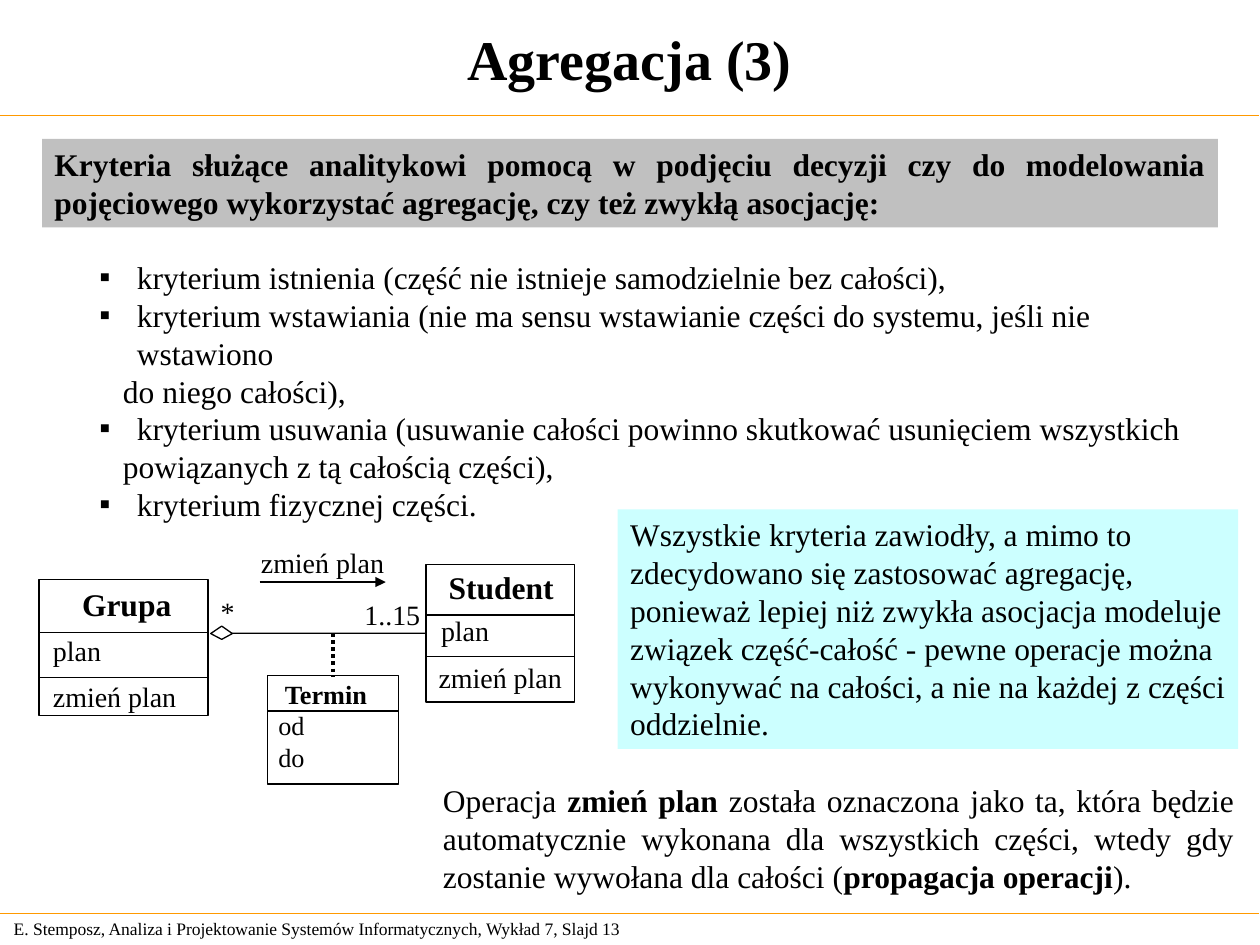
from dataclasses import dataclass

from lxml import etree
from pptx import Presentation
from pptx.dml.color import RGBColor
from pptx.enum import dml, shapes, text
from pptx.oxml import ns
from pptx.util import Pt


@dataclass(frozen=True)
class Theme:
    font: str = "Times New Roman"
    ink: str = "000000"
    paper: str = "FFFFFF"
    rule: str = "FF9900"
    grey: str = "C0C0C0"
    cyan: str = "CCFFFF"
    title: int = 32
    body: int = 18
    label: int = 16
    small: int = 15
    footer: int = 10
    hairline: float = 0
    stroke: float = 0.75


THEME = Theme()
LEFT, CENTER, JUSTIFY = (text.PP_ALIGN.LEFT, text.PP_ALIGN.CENTER, text.PP_ALIGN.JUSTIFY)
TOP, MIDDLE = text.MSO_ANCHOR.TOP, text.MSO_ANCHOR.MIDDLE
PADDING = (7.2, 3.6)


def color(value):
    return RGBColor.from_string(value)


def write(shape, paras, size, bold=False, align=LEFT, anchor=TOP, wrap=True, padding=PADDING):
    """Fill a shape with paragraphs, each a list of (words, bold) runs or a plain string."""
    frame = shape.text_frame
    frame.word_wrap = wrap
    frame.vertical_anchor = anchor
    frame.margin_left = frame.margin_right = Pt(padding[0])
    frame.margin_top = frame.margin_bottom = Pt(padding[1])
    for index, runs in enumerate(paras):
        para = frame.add_paragraph() if index else frame.paragraphs[0]
        para.alignment = align
        for words, strong in [(runs, bold)] if isinstance(runs, str) else runs:
            span = para.add_run()
            span.text = words
            span.font.name = THEME.font
            span.font.size = Pt(size)
            span.font.bold = strong
            span.font.color.rgb = color(THEME.ink)


def text_box(page, box, paras, size, **style):
    shape = page.shapes.add_textbox(*map(Pt, box))
    write(shape, paras, size, **style)
    return shape


def finish(shape, fill, outline=None):
    shape.shadow.inherit = False
    shape.fill.solid()
    shape.fill.fore_color.rgb = color(fill)
    if outline:
        shape.line.color.rgb = color(outline)
        shape.line.width = Pt(THEME.hairline)
    else:
        shape.line.fill.background()
    return shape


def rectangle(page, box, fill, outline=None):
    shape = page.shapes.add_shape(shapes.MSO_SHAPE.RECTANGLE, *map(Pt, box))
    return finish(shape, fill, outline)


def line(page, start, end, stroke=THEME.ink, width=THEME.stroke):
    link = page.shapes.add_connector(shapes.MSO_CONNECTOR.STRAIGHT, *map(Pt, start + end))
    link.line.color.rgb = color(stroke)
    link.line.width = Pt(width)
    etree.SubElement(link.line._get_or_add_ln().getparent(), ns.qn("a:effectLst"))
    return link


def add_frame(page, box):
    """Title and footer, each set off by an orange rule."""
    left, top, width, height = box
    header, footer_top = 66, 522
    for y in (header, footer_top):
        line(page, (left, top + y), (left + width, top + y), THEME.rule)
    text_box(page, (left, top, width, header), ["Agregacja (3)"], THEME.title,
             bold=True, align=CENTER, anchor=MIDDLE)
    text_box(page, (left + 0.8, top + footer_top, 377, height - footer_top - 0.5),
             ["E. Stemposz, Analiza i Projektowanie Systemów Informatycznych, Wykład 7, Slajd 13"],
             THEME.footer, anchor=MIDDLE, wrap=False)


def add_panel(page, box, fill, paras, **style):
    write(rectangle(page, box, fill), paras, THEME.body, **style)


def add_criteria(page, box, items):
    """Bulleted criteria; a second line in an item continues it without a bullet."""
    rows = [(words, index == 0) for item in items for index, words in enumerate(item)]
    shape = text_box(page, box, [words for words, _ in rows], THEME.body)
    for para, (_, bulleted) in zip(shape.text_frame.paragraphs, rows):
        margin = 21.5 if bulleted else 13.5
        props = para._p.get_or_add_pPr()
        props.set("marL", str(Pt(margin)))
        props.set("indent", str(-Pt(margin) if bulleted else 0))
        if bulleted:
            etree.SubElement(props, ns.qn("a:buFont"), typeface=THEME.font)
            etree.SubElement(props, ns.qn("a:buChar"), char="▪")
        else:
            etree.SubElement(props, ns.qn("a:buNone"))


def add_class(page, box, name, name_box, size, sections, row_size):
    """UML class; sections are (divider offset, text offset x, text offset y, lines)."""
    left, top, width, _ = box
    outline = rectangle(page, box, THEME.paper, THEME.ink)
    dx, dy, name_width = name_box
    text_box(page, (left + dx, top + dy, name_width, size * 1.2), [name], size,
             bold=True, wrap=False, padding=(0, 0))
    for divider, dx, dy, lines in sections:
        line(page, (left, top + divider), (left + width, top + divider))
        text_box(page, (left + dx, top + dy, width - dx, len(lines) * row_size * 1.2),
                 lines, row_size, padding=(0, 0))
    return outline


def add_diagram(page, box):
    """Aggregation of Student in Grupa, with the association class Termin."""
    left, top, _, _ = box

    def at(x, y, *size):
        return (left + x, top + y) + size

    add_class(page, at(0, 8.7, 96.5, 77.7), "Grupa", (24.5, 2.8, 51), THEME.body,
              [(30, 7.9, 31, ["plan"]), (56, 7.9, 57, ["zmień plan"])], THEME.label)
    student = add_class(page, at(221, 0, 85, 78.5), "Student", (13, 2, 60), THEME.body,
                        [(28.8, 8.6, 28.2, ["plan"]), (52.5, 7.2, 54.7, ["zmień plan"])],
                        THEME.label)
    term = add_class(page, at(130.4, 63.5, 75, 62), "Termin", (10, 1.5, 48), THEME.small,
                     [(20.2, 6.3, 19.3, ["od", "do"])], THEME.small)

    middle = 39.3
    association = line(page, at(110, middle), at(221, middle))
    association.end_connect(student, 1)
    dashed = line(page, at(167.9, middle), at(167.9, 63.5), width=THEME.hairline)
    dashed.end_connect(term, 0)
    dashed.line.dash_style = dml.MSO_LINE.ROUND_DOT

    corners = [at(*corner) for corner in ((98, 39.5), (104.3, 35.2), (110.4, 39.5), (104.3, 42.8))]
    builder = page.shapes.build_freeform(*map(Pt, corners[0]))
    builder.add_line_segments([tuple(map(Pt, corner)) for corner in corners[1:]], close=True)
    finish(builder.convert_to_shape(), THEME.paper, THEME.ink)

    for x, y, width, words in ((103.7, 17.2, 13.7, "*"), (185.8, 18.7, 32, "1..15"),
                               (126.7, -10.8, 71, "zmień plan")):
        text_box(page, at(x, y, width, 19.5), [words], THEME.label,
                 wrap=False, padding=(0, 0))
    arrow = line(page, at(126, 10), at(198, 10))
    etree.SubElement(arrow.line._get_or_add_ln(), ns.qn("a:tailEnd"), type="triangle")


def main():
    deck = Presentation()
    deck.slide_width, deck.slide_height = Pt(720), Pt(540)
    page = deck.slides.add_slide(deck.slide_layouts[6])
    add_frame(page, (0, 0, 719.5, 540))
    add_panel(page, (24, 79.4, 672, 50.6), THEME.grey,
              ["Kryteria służące analitykowi pomocą w podjęciu decyzji czy do modelowania "
               "pojęciowego wykorzystać agregację, czy też zwykłą asocjację:"],
              bold=True, align=JUSTIFY)
    add_criteria(page, (49.7, 144, 655, 137), [
        ["kryterium istnienia (część nie istnieje samodzielnie bez całości),"],
        ["kryterium wstawiania (nie ma sensu wstawianie części do systemu, jeśli nie wstawiono",
         "do niego całości),"],
        ["kryterium usuwania (usuwanie całości powinno skutkować usunięciem wszystkich",
         "powiązanych z tą całością części),"],
        ["kryterium fizycznej części."]])
    add_panel(page, (353, 291, 354.5, 137), THEME.cyan, [
        "Wszystkie kryteria zawiodły, a mimo to",
        "zdecydowano się zastosować agregację,",
        "ponieważ lepiej niż zwykła asocjacja modeluje",
        "związek część-całość - pewne operacje można",
        "wykonywać na całości, a nie na każdej z części",
        "oddzielnie."], wrap=False)
    add_diagram(page, (22.4, 322.6, 306, 126))
    text_box(page, (246, 443, 466.5, 72), [[
        ("Operacja ", False), ("zmień plan ", True),
        ("została oznaczona jako ta, która będzie automatycznie wykonana dla wszystkich "
         "części, wtedy gdy zostanie wywołana dla całości (", False),
        ("propagacja operacji", True), (").", False)]], THEME.body, align=JUSTIFY)
    deck.save("out.pptx")


if __name__ == "__main__":
    main()
